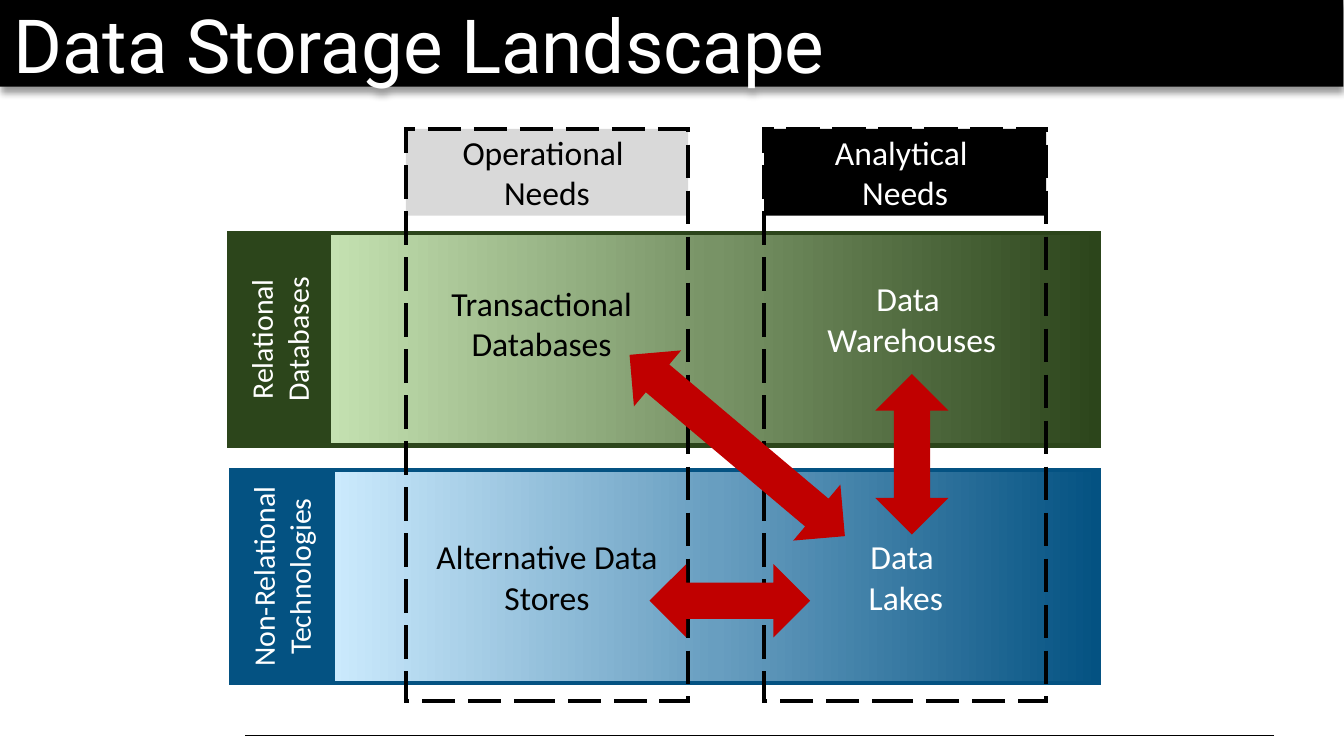
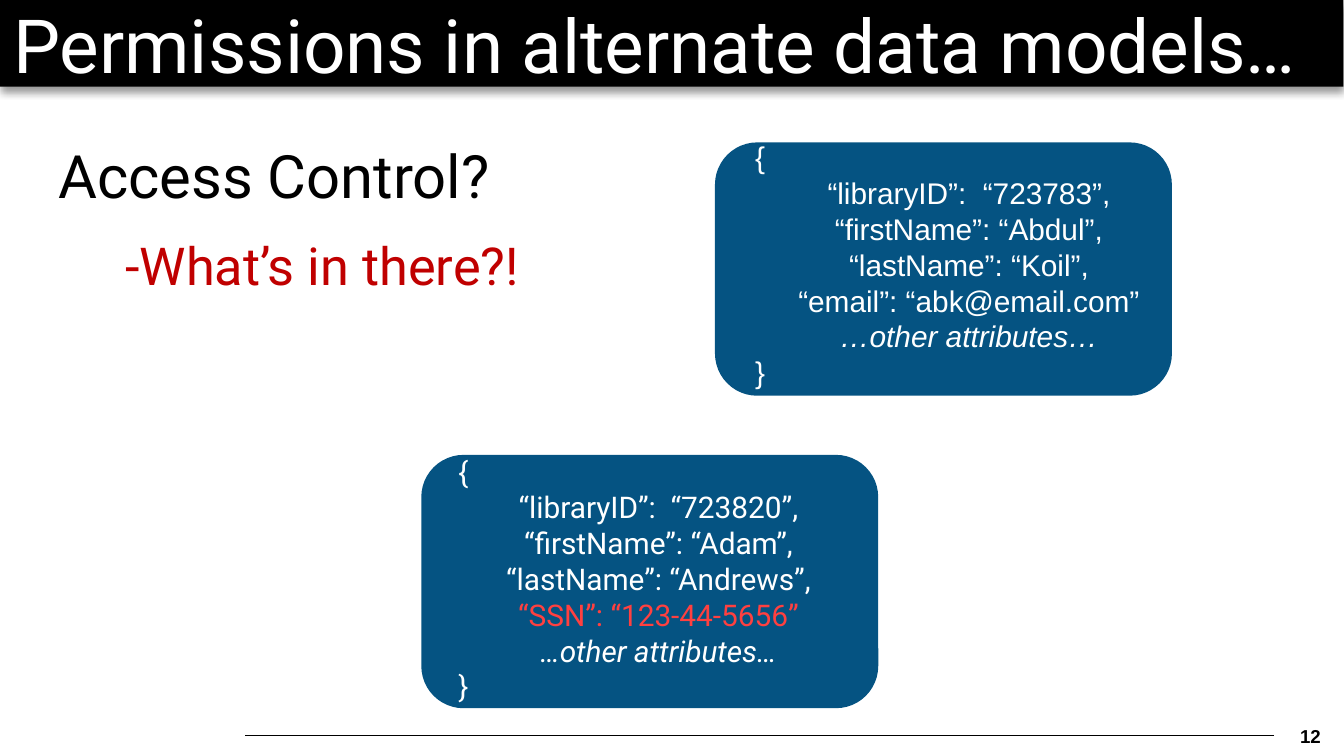
from copy import deepcopy

from lxml import etree
from pptx import Presentation
from pptx.dml.color import RGBColor
from pptx.enum.dml import MSO_LINE
from pptx.enum.shapes import MSO_CONNECTOR, MSO_SHAPE
from pptx.enum.text import MSO_ANCHOR, PP_ALIGN
from pptx.oxml.ns import qn
from pptx.util import Pt

PX = 4572
RECT = MSO_SHAPE.RECTANGLE
ROUNDED = MSO_SHAPE.ROUNDED_RECTANGLE
ARROW = MSO_SHAPE.LEFT_RIGHT_ARROW
STRAIGHT = MSO_CONNECTOR.STRAIGHT
LONG_DASH = MSO_LINE.LONG_DASH
LEFT, CENTER = PP_ALIGN.LEFT, PP_ALIGN.CENTER
TOP, MIDDLE, BOTTOM = MSO_ANCHOR.TOP, MSO_ANCHOR.MIDDLE, MSO_ANCHOR.BOTTOM

BLACK = RGBColor(0x00, 0x00, 0x00)
WHITE = RGBColor(0xFF, 0xFF, 0xFF)
GRAY = RGBColor(0xD9, 0xD9, 0xD9)
RED = RGBColor(0xC0, 0x00, 0x00)
BRIGHT_RED = RGBColor(0xFF, 0x40, 0x40)
CARD_BLUE = RGBColor(0x05, 0x53, 0x82)
BLUE = RGBColor(0x04, 0x52, 0x82)
MID_BLUE = RGBColor(0x68, 0x9E, 0xC0)
PALE_BLUE = RGBColor(0xCB, 0xEA, 0xFD)
GREEN = RGBColor(0x2C, 0x45, 0x1B)
MID_GREEN = RGBColor(0x78, 0x93, 0x66)
PALE_GREEN = RGBColor(0xC4, 0xE1, 0xB1)


def add_box(s, box, kind=None, fill=None, line=None, width=2.25, rotation=0):
    x, y, w, h = [v * PX for v in box]
    if kind is None:
        return s.shapes.add_textbox(x, y, w, h)
    sp = s.shapes.add_shape(kind, x, y, w, h)
    sp.shadow.inherit = False
    sp.rotation = rotation
    if fill is None:
        sp.fill.background()
    else:
        sp.fill.solid()
        sp.fill.fore_color.rgb = fill
    if line is None:
        sp.line.fill.background()
    else:
        sp.line.color.rgb = line
        sp.line.width = Pt(width)
        ln = sp._element.spPr.find(qn("a:ln"))
        etree.SubElement(ln, qn("a:miter"), lim="800000")
    return sp


def write(sp, paragraphs, anchor=MIDDLE, inset=(20, 10)):
    tf = sp.text_frame
    tf.word_wrap = True
    tf.vertical_anchor = anchor
    tf.margin_left = tf.margin_right = inset[0] * PX
    tf.margin_top = tf.margin_bottom = inset[1] * PX
    for i, (text, color, font, layout) in enumerate(paragraphs):
        p = tf.add_paragraph() if i else tf.paragraphs[0]
        p.text = text
        for key, value in layout.items():
            setattr(p, key, value)
        for r in p.runs:
            r.font.color.rgb = color
            for key, value in font.items():
                setattr(r.font, key, value)


TITLE = {"size": Pt(40), "name": "Roboto"}
LABEL = {"size": Pt(18), "name": "Calibri"}
SIDE_LABEL = {"size": Pt(16), "name": "Calibri"}
NUMBER = {"size": Pt(10), "name": "Arial", "bold": True}
CENTERED = {"alignment": CENTER}

prs = Presentation()
prs.slide_width = 2000 * PX
prs.slide_height = 1125 * PX

slides = []
for title in ["Data Storage Landscape", "Permissions in alternate data models…"]:
    s = prs.slides.add_slide(prs.slide_layouts[6])
    slides.append(s)
    rule = s.shapes.add_connector(STRAIGHT, 1896 * PX, 1095 * PX, 365 * PX, 1095 * PX)
    rule.line.color.rgb = BLACK
    rule.line.width = Pt(0.5)
    etree.SubElement(rule._element.spPr, qn("a:effectLst"))
    sp = add_box(s, (0, 0, 1999, 129), RECT, BLACK)
    effects = sp._element.spPr.find(qn("a:effectLst"))
    shadow = etree.SubElement(effects, qn("a:outerShdw"), blurRad=str(Pt(4)),
                              dist=str(Pt(3)), dir="5400000", rotWithShape="0")
    shade = etree.SubElement(shadow, qn("a:srgbClr"), val=str(BLACK))
    etree.SubElement(shade, qn("a:alpha"), val="40000")
    write(sp, [(title, WHITE, TITLE, {"alignment": LEFT})])

s = slides[0]
bands = [
    ((496, 700, 1139, 316), (PALE_BLUE, MID_BLUE, BLUE),
     "Non-Relational Technologies", (260, 784, 316, 148),
     [("Data \vLakes", WHITE, (1113, 720, 470, 276)),
      ("Alternative Data Stores", BLACK, (579, 784, 470, 148))]),
    ((490, 347, 1146, 316), (PALE_GREEN, MID_GREEN, GREEN),
     "Relational Databases", (257, 431, 316, 148),
     [("Data \vWarehouses", WHITE, (1122, 383, 470, 182)),
      ("Transactional Databases", BLACK, (571, 396, 470, 170))]),
]
for band_box, shades, side_text, side_box, labels in bands:
    dark = shades[-1]
    sp = add_box(s, band_box, RECT, dark, dark)
    sp.fill.gradient()
    sp.fill.gradient_angle = 0
    first = sp._element.spPr.find(".//" + qn("a:gs"))
    first.addnext(deepcopy(first))
    for stop, position, color in zip(sp.fill.gradient_stops, (0, 0.5, 1), shades):
        stop.position = position
        stop.color.rgb = color
    for text, color, box in labels:
        write(add_box(s, box), [(text, color, LABEL, CENTERED)])
    sp = add_box(s, side_box, RECT, dark, dark, rotation=270)
    write(sp, [(side_text, WHITE, SIDE_LABEL, CENTERED)])

columns = [
    (604, "Operational \vNeeds", GRAY, BLACK),
    (1137, "Analytical \vNeeds", BLACK, WHITE),
]
for x, text, fill, color in columns:
    sp = add_box(s, (x, 192, 420, 129), RECT, fill)
    write(sp, [(text, color, LABEL, CENTERED)])
    sp = add_box(s, (x, 192, 420, 852), RECT, line=BLACK)
    sp.line.dash_style = LONG_DASH

arrows = [
    ((968, 842, 236, 104), 0),
    ((889, 611, 416, 104), 40.1),
    ((1239, 624, 236, 104), 90),
]
for box, rotation in arrows:
    add_box(s, box, ARROW, RED, RED, 0.75, rotation)

s = slides[1]
sp = add_box(s, (67, 197, 1916, 866))
write(sp, [
    ("Access Control?", BLACK, {"size": Pt(32), "name": "Roboto"}, {"space_after": Pt(12)}),
    ("-What’s in there?!", RED, {"size": Pt(28), "name": "Roboto"},
     {"space_after": Pt(12), "level": 1}),
], TOP)
sp.text_frame.paragraphs[1]._p.get_or_add_pPr().set("marL", str(100 * PX))
sp = add_box(s, (1917, 1068, 66, 54))
write(sp, [("12", BLACK, NUMBER, CENTERED)], BOTTOM, (10, 10))

records = [
    ((1064, 212, 680, 377), (1104, 197, 676, 398), "Arial", TOP, (20, 10),
     ["“libraryID”:  “723783”,", "“firstName”: “Abdul”,",
      "“lastName”: “Koil”,", "“email”: “abk@email.com”"]),
    ((627, 677, 680, 377), (682, 673, 596, 376), "Roboto", MIDDLE, (0, 0),
     ["“libraryID”:  “723820”,", "“firstName”: “Adam”,",
      "“lastName”: “Andrews”,", "“SSN”: “123-44-5656”"]),
]
for card_box, text_box, name, anchor, inset, fields in records:
    add_box(s, card_box, ROUNDED, CARD_BLUE)
    paragraphs = []
    for text in ["{", *fields, "…other attributes…", "}"]:
        color = BRIGHT_RED if "SSN" in text else WHITE
        font = {"size": Pt(16), "name": name, "italic": text.startswith("…")}
        layout = {"alignment": LEFT if text in "{}" else CENTER, "line_spacing": Pt(19.2)}
        paragraphs.append((text, color, font, layout))
    write(add_box(s, text_box), paragraphs, anchor, inset)

prs.save("out.pptx")
